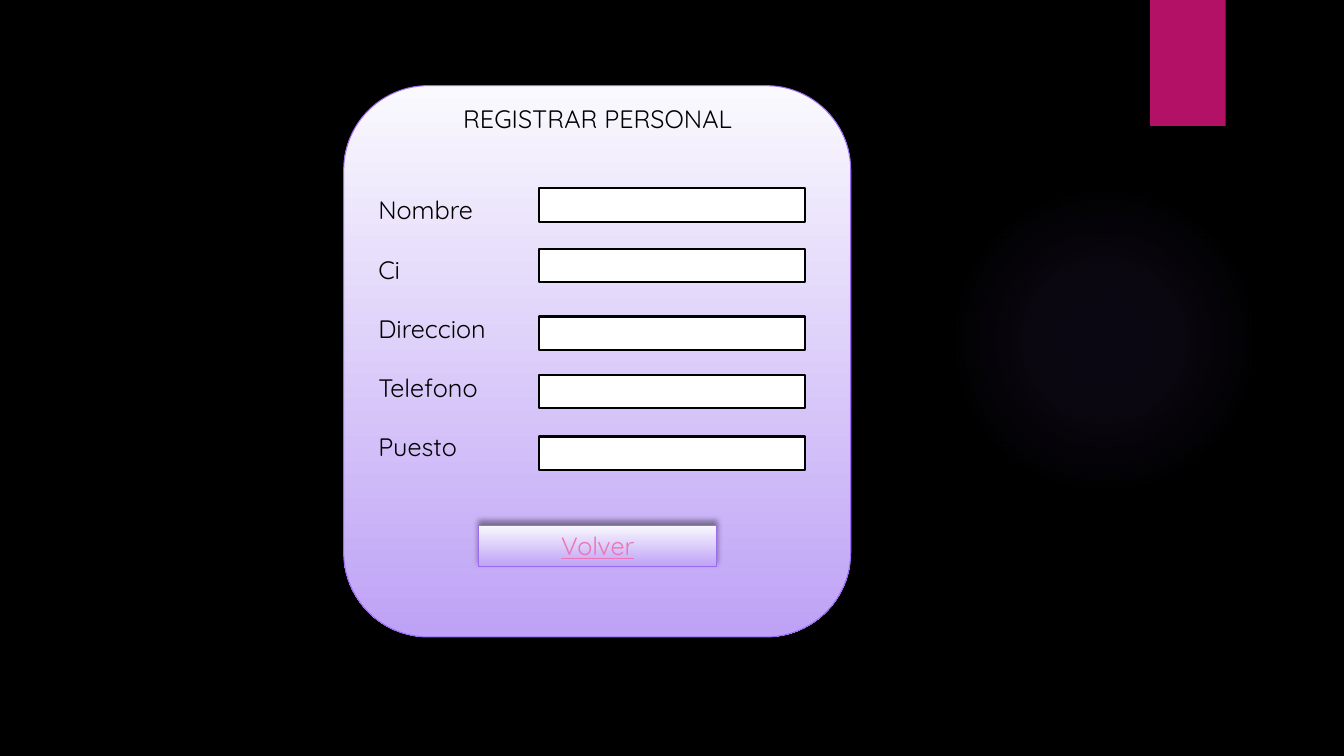
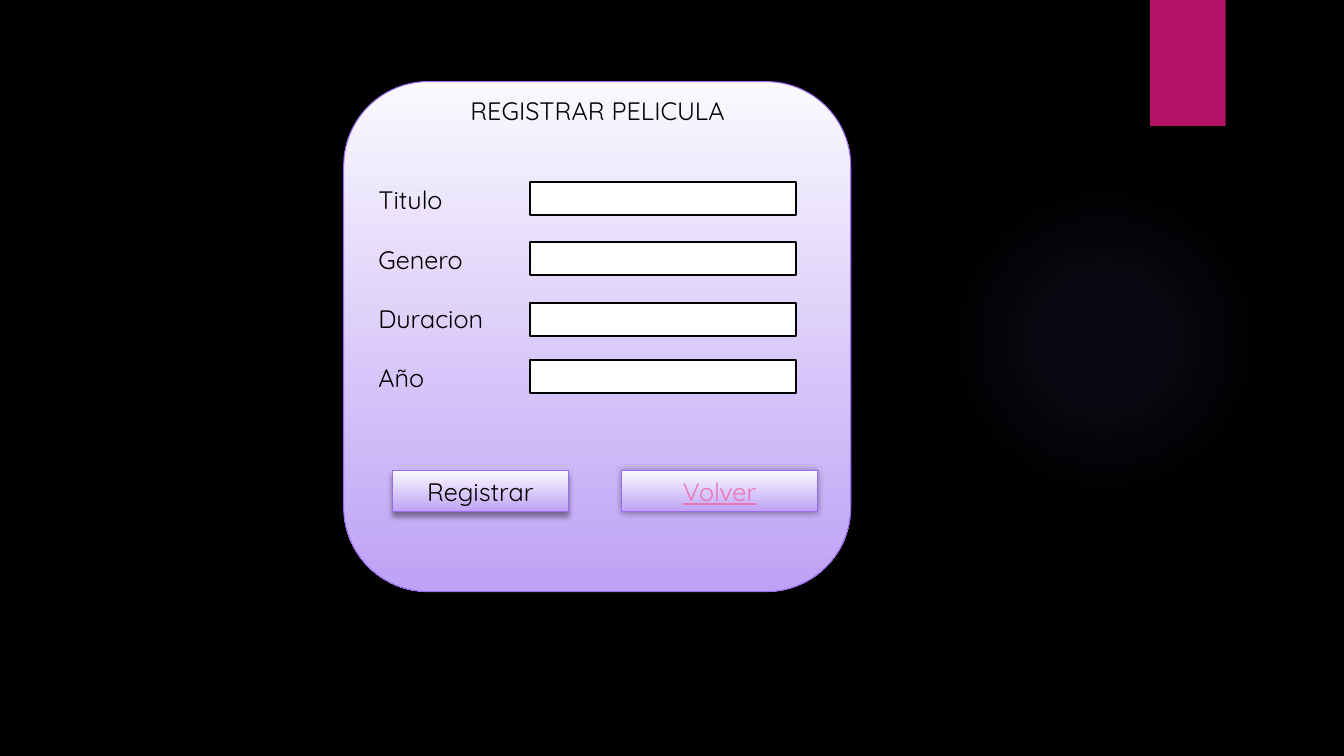
from dataclasses import dataclass

from lxml import etree
from pptx import Presentation
from pptx.dml.color import RGBColor
from pptx.enum import shapes, text
from pptx.oxml import ns
from pptx.shapes.autoshape import Shape
from pptx.slide import Slide, SlideLayout
from pptx.text.text import TextFrame
from pptx.util import Pt

BLACK = RGBColor(0x00, 0x00, 0x00)
WHITE = RGBColor(0xFF, 0xFF, 0xFF)
MAGENTA = RGBColor(0xB3, 0x11, 0x66)
VIOLET = RGBColor(0x9B, 0x6B, 0xF2)
PALE = RGBColor(0xFA, 0xF9, 0xFE)
LILAC = RGBColor(0xBE, 0xA2, 0xF6)
LINK_PINK = RGBColor(0xEC, 0x76, 0xB5)

FONT = "Quicksand"
TEXT_SIZE = 18
CARD_LEFT, CARD_WIDTH = 245.5, 362.2
FIELD_WIDTH, FIELD_HEIGHT = 190, 23.8
BUTTON_HEIGHT = 29.5
LABEL_GAP = 20.7
TITLE_LEFT, TITLE_WIDTH, TITLE_HEIGHT = 177.8, 498.2, 40.3


@dataclass(frozen=True)
class Shadow:
    blur: float
    distance: float
    angle: int
    opacity: int = 40


@dataclass(frozen=True)
class Button:
    caption: str
    left: float
    top: float
    width: float
    shadow: Shadow
    is_link: bool = False


@dataclass(frozen=True)
class Form:
    title: str
    title_top: float
    card_top: float
    card_height: float
    label_inset: float
    labels: tuple[str, ...]
    field_left: float
    field_tops: tuple[float, ...]
    buttons: tuple[Button, ...]


FORMS = (
    Form("REGISTRAR PERSONAL", 64.1, 61.2, 393.8, 60.2,
         ("Nombre", "Ci", "Direccion", "Telefono", "Puesto"),
         385.2, (134.6, 177.8, 226.1, 267.8, 311.8),
         (Button("Volver", 342, 375.1, 170, Shadow(4, 3, 270), is_link=True),)),
    Form("REGISTRAR PELICULA", 59, 58.3, 364.3, 56,
         ("Titulo", "Genero", "Duracion", "Año"),
         378.7, (130.1, 172.8, 216.5, 257),
         (Button("Registrar", 280.1, 336.2, 126, Shadow(4, 3, 90)),
          Button("Volver", 444.2, 336.2, 139.7, Shadow(5, 0, 0), is_link=True))),
)


def add_box(slide: Slide, kind: shapes.MSO_SHAPE, left: float, top: float,
            width: float, height: float, *, fill: RGBColor | None = None,
            line: RGBColor | None = None, weight: float = 0.75) -> Shape:
    """Add a shape; without a fill colour it gets the pale-to-lilac gradient."""
    box = slide.shapes.add_shape(kind, Pt(left), Pt(top), Pt(width), Pt(height))
    box.shadow.inherit = False
    if fill is None:
        box.fill.gradient()
        box.fill.gradient_angle = 270
        for stop, color in zip(box.fill.gradient_stops, (PALE, LILAC)):
            stop.color.rgb = color
    else:
        box.fill.solid()
        box.fill.fore_color.rgb = fill
    if line is None:
        box.line.fill.background()
    else:
        box.line.color.rgb = line
        box.line.width = Pt(weight)
    return box


def add_color(parent: etree._Element, color: RGBColor, opacity: int) -> None:
    node = etree.SubElement(parent, ns.qn("a:srgbClr"), val=str(color))
    etree.SubElement(node, ns.qn("a:alpha"), val=str(opacity * 1000))


def set_shadow(box: Shape, shadow: Shadow) -> None:
    effects = box._element.spPr.find(ns.qn("a:effectLst"))
    outer = etree.SubElement(
        effects, ns.qn("a:outerShdw"), blurRad=str(Pt(shadow.blur)),
        dist=str(Pt(shadow.distance)), dir=str(shadow.angle * 60000), rotWithShape="0")
    add_color(outer, BLACK, shadow.opacity)


def set_glow(box: Shape) -> None:
    """Replace the fill with a faint violet circle that fades outwards."""
    box.fill.gradient()
    gradient = box._element.spPr.find(ns.qn("a:gradFill"))
    for child in list(gradient):
        gradient.remove(child)
    stops = etree.SubElement(gradient, ns.qn("a:gsLst"))
    for position, opacity in ((0, 7), (36, 6), (69, 0)):
        stop = etree.SubElement(stops, ns.qn("a:gs"), pos=str(position * 1000))
        add_color(stop, VIOLET, opacity)
    circle = etree.SubElement(gradient, ns.qn("a:path"), {"path": "circle"})
    etree.SubElement(circle, ns.qn("a:fillToRect"), l="50000", t="50000",
                     r="50000", b="50000")


def write(frame: TextFrame, *lines: str, color: RGBColor = BLACK,
          align: text.PP_ALIGN = text.PP_ALIGN.CENTER,
          anchor: text.MSO_ANCHOR = text.MSO_ANCHOR.MIDDLE,
          underline: bool = False, gap: float = 0) -> None:
    frame.word_wrap = True
    frame.vertical_anchor = anchor
    for index, line in enumerate(lines):
        para = frame.add_paragraph() if index else frame.paragraphs[0]
        para.alignment = align
        para.line_spacing = 1.0
        para.space_before = Pt(0)
        para.space_after = Pt(gap)
        span = para.add_run()
        span.text = line
        span.font.name = FONT
        span.font.size = Pt(TEXT_SIZE)
        span.font.color.rgb = color
        span.font.underline = underline


def decorate_layout(layout: SlideLayout, slide: Slide) -> None:
    """Draw the glow and the band on the slide, then move them to its layout."""
    layout.slide_master.background.fill.solid()
    layout.slide_master.background.fill.fore_color.rgb = BLACK
    glow = add_box(slide, shapes.MSO_SHAPE.OVAL, 677.5, 131.8, 221.8, 221.8, fill=VIOLET)
    set_glow(glow)
    band = add_box(slide, shapes.MSO_SHAPE.RECTANGLE, 821.5, 0, 54, 90, fill=MAGENTA)
    set_shadow(band, Shadow(3, 2, 90, opacity=45))
    for position, box in enumerate((glow, band), start=2):
        layout.shapes._spTree.insert(position, box._element)


def draw_form(slide: Slide, form: Form) -> None:
    card = add_box(slide, shapes.MSO_SHAPE.ROUNDED_RECTANGLE, CARD_LEFT, form.card_top,
                   CARD_WIDTH, form.card_height, line=VIOLET)
    card.text_frame.margin_top = Pt(form.label_inset)
    write(card.text_frame, *form.labels, align=text.PP_ALIGN.LEFT,
          anchor=text.MSO_ANCHOR.TOP, gap=LABEL_GAP)

    for button in form.buttons:
        box = add_box(slide, shapes.MSO_SHAPE.RECTANGLE, button.left, button.top,
                      button.width, BUTTON_HEIGHT, line=VIOLET)
        set_shadow(box, button.shadow)
        write(box.text_frame, button.caption, underline=button.is_link,
              color=LINK_PINK if button.is_link else BLACK)

    for top in form.field_tops:
        add_box(slide, shapes.MSO_SHAPE.RECTANGLE, form.field_left, top,
                FIELD_WIDTH, FIELD_HEIGHT, fill=WHITE, line=BLACK, weight=1.5)

    title = slide.shapes.title
    title.left, title.top = Pt(TITLE_LEFT), Pt(form.title_top)
    title.width, title.height = Pt(TITLE_WIDTH), Pt(TITLE_HEIGHT)
    write(title.text_frame, form.title)
    slide.shapes._spTree.append(title._element)  # in front of the card


def main() -> None:
    deck = Presentation()
    deck.slide_width, deck.slide_height = Pt(960), Pt(540)
    layout = deck.slide_layouts.get_by_name("Title Only")
    pages = [deck.slides.add_slide(layout) for _ in FORMS]
    decorate_layout(layout, pages[0])
    for page, form in zip(pages, FORMS):
        draw_form(page, form)
    deck.save("out.pptx")


if __name__ == "__main__":
    main()
